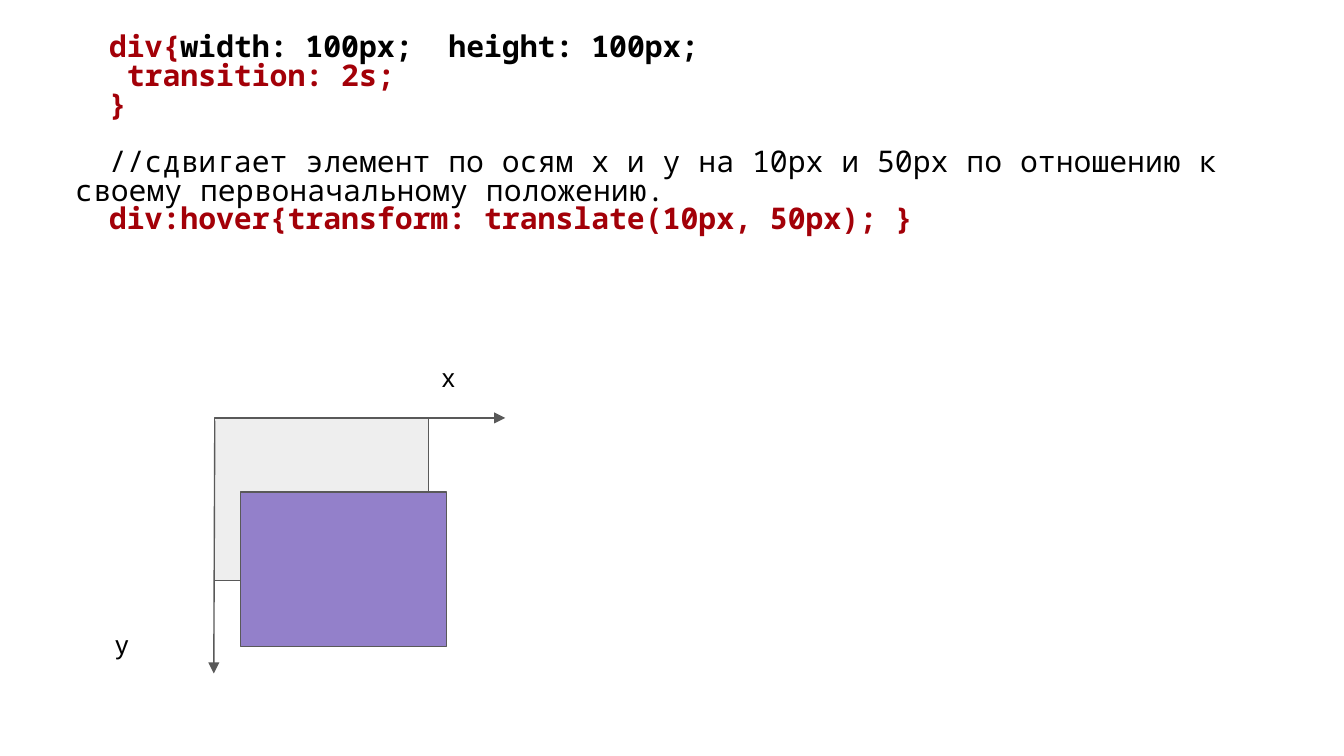
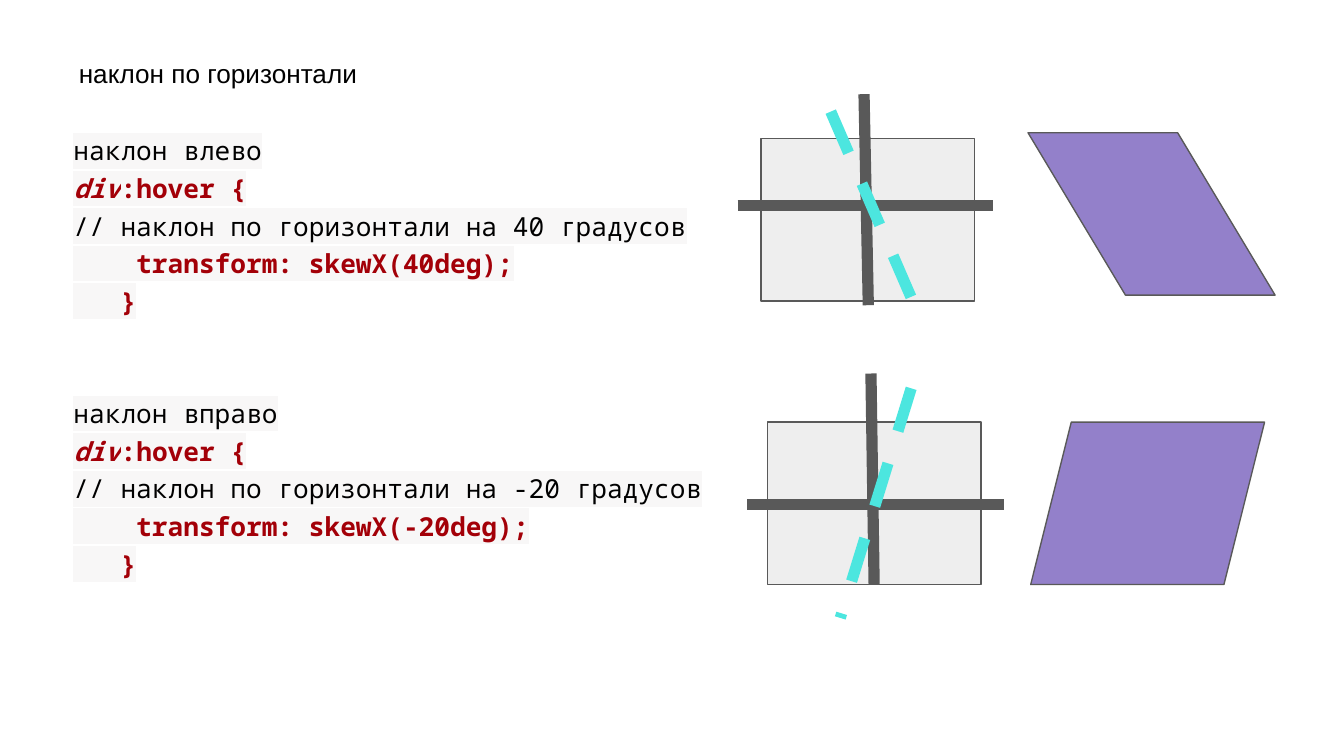
from lxml import etree
from pptx import Presentation
from pptx.dml.color import RGBColor
from pptx.enum.dml import MSO_LINE
from pptx.enum.shapes import MSO_CONNECTOR, MSO_SHAPE
from pptx.enum.text import MSO_ANCHOR, MSO_AUTO_SIZE
from pptx.oxml.ns import qn
from pptx.util import Cm, Pt

BLACK, RED, GREY = "000000", "A30008", "595959"
PALE, PURPLE, CYAN, CODE_BACK = "EEEEEE", "9380CA", "4CE6DF", "F8F7F7"
MONO, SANS = "Noto Sans Mono", "Arial"
THIN, THICK = 0.75, 6
BOX_W, BOX_H = 4.04, 3.07


def rgb(color):
    return RGBColor.from_string(color)


def plain(text):
    return text, BLACK, False, False


def strong(text, color=RED, italic=False):
    return text, color, True, italic


class Deck:
    """Holds the style, the current slide and the shapes being added to."""

    def __init__(self):
        self.prs = Presentation()
        self.prs.slide_width, self.prs.slide_height = Cm(25.4), Cm(14.29)

    def slide(self):
        self.s = self.prs.slides.add_slide(self.prs.slide_layouts[6])
        self.shapes = self.s.shapes

    def group(self):
        """Sends the following shapes to a new group."""
        self.shapes = self.s.shapes.add_group_shape().shapes

    def text_frame(self, at):
        tf = self.s.shapes.add_textbox(*map(Cm, at)).text_frame
        tf.word_wrap = True
        tf.vertical_anchor = MSO_ANCHOR.TOP
        tf.margin_left = tf.margin_right = Cm(0.25)
        tf.margin_top = tf.margin_bottom = Cm(0.25)
        return tf

    def font(self, r, name, size, color, bold=False, italic=False):
        f = r.font
        f.name, f.size, f.bold, f.italic = name, Pt(size), bold, italic
        f.color.rgb = rgb(color)

    def label(self, text, left, top, width=1.17):
        tf = self.text_frame((left, top, width, 1.12))
        tf.auto_size = MSO_AUTO_SIZE.SHAPE_TO_FIT_TEXT
        tf.text = text
        self.font(tf.paragraphs[0].runs[0], SANS, 14, BLACK)

    def code(self, at, lines, size, spacing, indent, gaps, back=None):
        """indent is (left, first line) in cm; gaps maps a line to points before it."""
        tf = self.text_frame(at)
        for i, line in enumerate(lines):
            p = tf.add_paragraph() if i else tf.paragraphs[0]
            p.line_spacing = spacing
            p.space_before = Pt(gaps.get(i, 0))
            pPr = p._p.get_or_add_pPr()
            pPr.set("marL", str(Cm(indent[0])))
            pPr.set("indent", str(Cm(indent[1])))
            for text, *style in line:
                r = p.add_run()
                r.text = text
                self.font(r, MONO, size, *style)
                if back:
                    self.highlight(r, back)

    def highlight(self, r, color):
        mark = etree.Element(qn("a:highlight"))
        etree.SubElement(mark, qn("a:srgbClr"), val=color)
        r.font._element.find(qn("a:solidFill")).addnext(mark)

    def shape(self, kind, at, fill):
        sp = self.shapes.add_shape(kind, *map(Cm, at))
        sp.shadow.inherit = False
        sp.fill.solid()
        sp.fill.fore_color.rgb = rgb(fill)
        sp.line.color.rgb = rgb(GREY)
        sp.line.width = Pt(THIN)
        return sp

    def box(self, left, top, width=BOX_W, height=BOX_H, fill=PALE):
        return self.shape(MSO_SHAPE.RECTANGLE, (left, top, width, height), fill)

    def skewed(self, left, top, width, slant, flip):
        sp = self.shape(MSO_SHAPE.PARALLELOGRAM, (left, top, width, BOX_H), PURPLE)
        sp.adjustments[0] = slant
        if flip:
            sp._element.spPr.get_or_add_xfrm().set("flipH", "1")

    def line(self, ends, color=GREY, width=THICK, dashed=False, arrow=False):
        sp = self.shapes.add_connector(MSO_CONNECTOR.STRAIGHT, *map(Cm, ends))
        sp.line.color.rgb = rgb(color)
        sp.line.width = Pt(width)
        if dashed:
            sp.line.dash_style = MSO_LINE.DASH
        if arrow:
            etree.SubElement(sp.line._get_or_add_ln(), qn("a:tailEnd"), type="triangle")
        etree.SubElement(sp._element.spPr, qn("a:effectLst"))
        return sp


def translate_slide(deck):
    deck.slide()
    deck.code((0.53, 0.41, 23.67, 4.93), [
        [strong("div{"), strong("width: 100px;  height: 100px;", BLACK)],
        [strong(" transition: 2s;")],
        [strong("}")],
        [plain("//сдвигает элемент по осям x и y на 10px и 50px "
               "по отношению к своему первоначальному положению.")],
        [strong("div:hover{transform: translate(10px, 50px); }")],
    ], size=16, spacing=0.8, indent=(0.64, 0.64), gaps={3: 15.4})
    deck.box(4.06, 7.9)
    deck.box(4.55, 9.3, 3.89, 2.92, PURPLE)
    for axis in ((4.09, 7.9, 9.55, 7.9), (4.06, 7.95, 4.04, 12.73)):
        deck.line(axis, width=THIN, arrow=True)
    deck.label("x", 8.1, 6.58)
    deck.label("y", 1.93, 11.63)


def skew_code(side, degrees):
    return [
        [plain(f"наклон {side}")],
        [strong("div", italic=True), strong(":hover {")],
        [plain(f"// наклон по горизонтали на {degrees} градусов")],
        [strong(f"    transform: skewX({degrees}deg);")],
        [strong("   }")],
    ]


def skew_figure(deck, box, skewed, upright, level, tilted):
    """Draws a box with its two axes and tilted axis, and the skewed result."""
    deck.group()
    sp = deck.box(*box)
    deck.skewed(*skewed)
    axis = deck.line(upright)
    if upright[3] == box[1] + BOX_H:
        axis.end_connect(sp, 2)
    deck.line(level)
    deck.line(tilted, CYAN, dashed=True)


def skew_slide(deck):
    deck.slide()
    deck.code((0.86, 2.18, 12.7, 9.5),
              skew_code("влево", 40) + skew_code("вправо", -20),
              size=14, spacing=1.2, indent=(0.28, 0), gaps={5: 40}, back=CODE_BACK)
    skew_figure(deck, (14.5, 7.98), (19.48, 7.98, 4.42, 0.25, False),
                upright=(16.46, 7.06, 16.51, 7.98 + BOX_H),
                level=(14.12, 9.53, 18.97, 9.53),
                tilted=(17.22, 7.34, 15.88, 11.68))
    skew_figure(deck, (14.38, 2.62), (19.43, 2.51, 4.67, 0.6, True),
                upright=(16.33, 1.78, 16.41, 5.77),
                level=(13.94, 3.89, 18.77, 3.89),
                tilted=(15.7, 2.11, 17.37, 5.97))
    deck.label("наклон по горизонтали", 1.24, 0.84, 9.5)


def main():
    deck = Deck()
    translate_slide(deck)
    skew_slide(deck)
    deck.prs.save("out.pptx")


if __name__ == "__main__":
    main()
